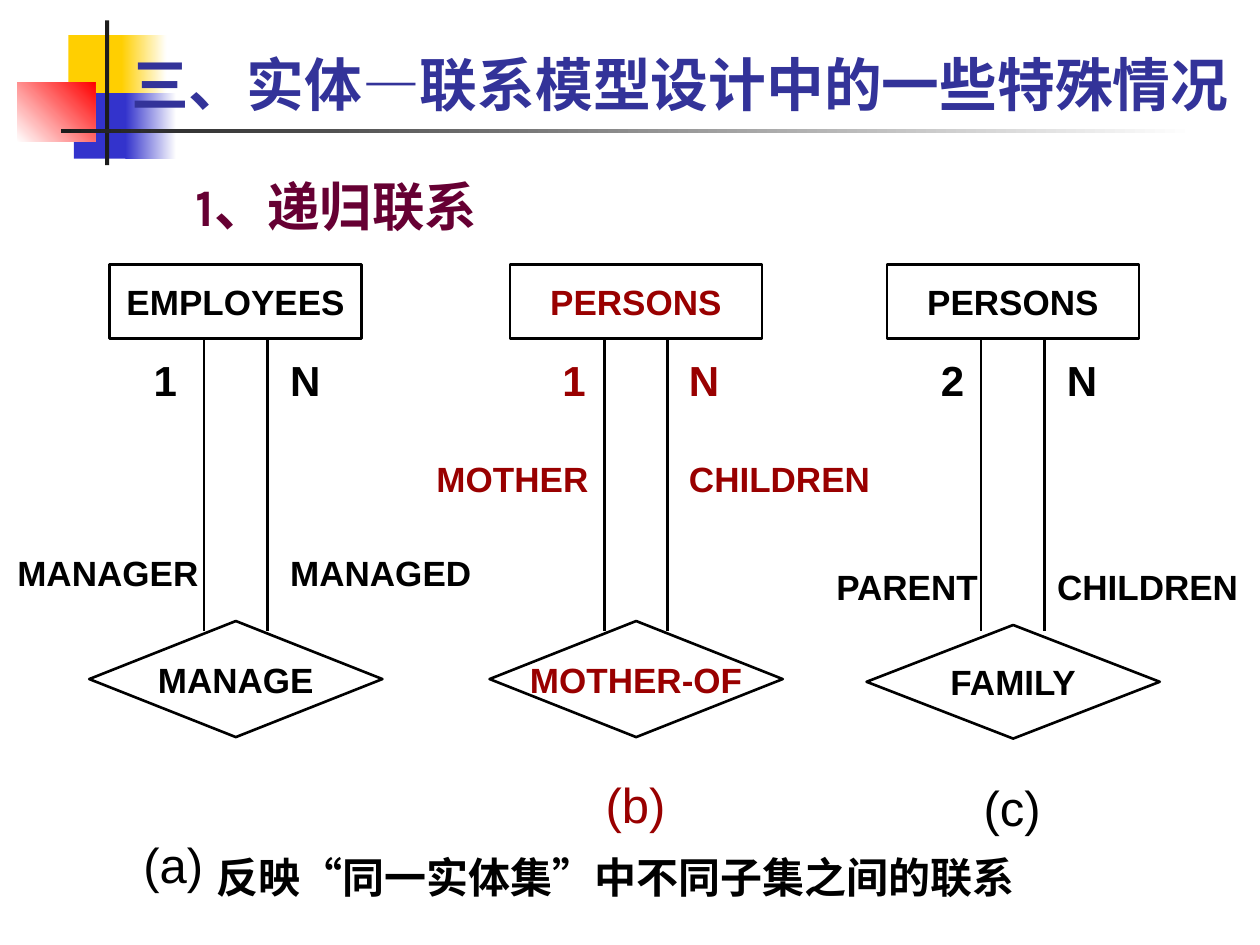
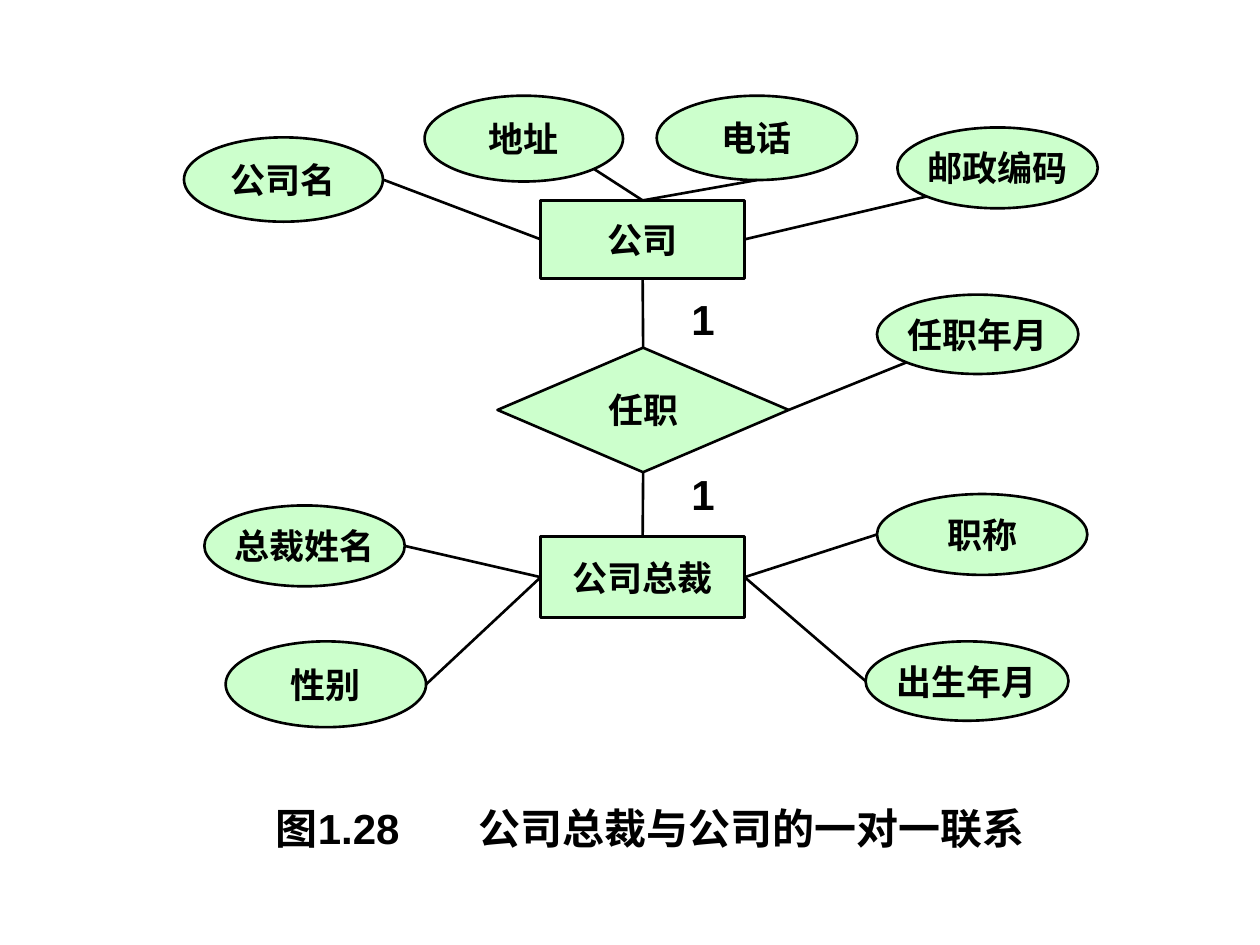
from math import cos, radians, sin
from typing import NamedTuple

from lxml import etree
from pptx import Presentation
from pptx.dml.color import RGBColor
from pptx.enum.lang import MSO_LANGUAGE_ID
from pptx.enum.shapes import MSO_CONNECTOR, MSO_SHAPE
from pptx.enum.text import MSO_ANCHOR, MSO_AUTO_SIZE, PP_ALIGN
from pptx.oxml.ns import qn
from pptx.util import Cm, Pt

RECTANGLE, OVAL = MSO_SHAPE.RECTANGLE, MSO_SHAPE.OVAL
DIAMOND = MSO_SHAPE.FLOWCHART_DECISION
STRAIGHT = MSO_CONNECTOR.STRAIGHT
LEFT, CENTER = PP_ALIGN.LEFT, PP_ALIGN.CENTER
MIDDLE, BOTTOM = MSO_ANCHOR.MIDDLE, MSO_ANCHOR.BOTTOM
NO_AUTOFIT = MSO_AUTO_SIZE.NONE
CHINESE = MSO_LANGUAGE_ID.SIMPLIFIED_CHINESE
TOP_SIDE, LEFT_SIDE, BOTTOM_SIDE, RIGHT_SIDE = range(4)
TITLE_ONLY, BLANK = 5, 6

COLORS = {
    "text": "000000",
    "title": "333399",
    "heading": "660033",
    "accent": "990000",
    "node": "CCFFCC",
    "white": "FFFFFF",
    "yellow": "FFCF01",
    "blue": "3333CC",
    "red": "FF0000",
    "rule": "1C1C1C",
}
BODY_FONT, TITLE_FONT = "Arial", "Karla"


class Panel(NamedTuple):
    """One recursive relationship; label offsets are (x, y, width) in cm."""
    left: float
    entity: str
    relation: str
    color: str
    diamond: tuple
    labels: tuple
    caption: tuple


PANELS = (
    Panel(2.21, "EMPLOYEES", "MANAGE", "text", (7.19, 2.34),
          (("1", -1.09 + 1.73, 1.27), ("N", 3.39, 1.47),
           ("MANAGER", -2.11, 5.67, 4.45), ("MANAGED", 3.39, 5.67, 4.24)),
          ("(a)", 0.43, 11.36)),
    Panel(10.28, "PERSONS", "MOTHER-OF", "accent", (7.19, 2.34),
          (("1", 0.81, 1.9), ("N", 3.36, 1.47),
           ("MOTHER", -1.73, 3.76, 4.01), ("CHILDREN", 3.36, 3.76, 4.45)),
          ("(b)", 1.68, 10.16)),
    Panel(17.88, "PERSONS", "FAMILY", "text", (7.27, 2.29),
          (("2", 0.84, 1.47), ("N", 3.38, 1.7),
           ("PARENT", -1.27, 5.95, 3.61), ("CHILDREN", 3.18, 5.95, 4.24)),
          ("(c)", 1.7, 10.21)),
)

NODES = {
    "公司": (RECTANGLE, 7.19, 2.11, 4.11, 1.57),
    "任职": (DIAMOND, 6.32, 5.08, 5.87, 2.51),
    "公司总裁": (RECTANGLE, 7.19, 8.89, 4.11, 1.63),
    "公司名": (OVAL, 0, 0.84, 4.01, 1.7),
    "地址": (OVAL, 4.85, 0, 4, 1.73),
    "电话": (OVAL, 9.53, 0, 4.04, 1.7),
    "邮政编码": (OVAL, 14.38, 0.64, 4.04, 1.63),
    "任职年月": (OVAL, 13.97, 4.01, 4.06, 1.6),
    "总裁姓名": (OVAL, 0.41, 8.26, 4.04, 1.63),
    "性别": (OVAL, 0.84, 11, 4.04, 1.73),
    "职称": (OVAL, 13.97, 8.03, 4.24, 1.63),
    "出生年月": (OVAL, 13.74, 11, 4.09, 1.6),
}
ATTRIBUTE_LINKS = (
    ("公司名", 0, "公司", LEFT_SIDE),
    ("地址", 45, "公司", TOP_SIDE),
    ("电话", 90, "公司", TOP_SIDE),
    ("邮政编码", 135, "公司", RIGHT_SIDE),
    ("任职年月", 135, "任职", RIGHT_SIDE),
    ("总裁姓名", 0, "公司总裁", LEFT_SIDE),
    ("性别", 0, "公司总裁", LEFT_SIDE),
    ("职称", 180, "公司总裁", RIGHT_SIDE),
    ("出生年月", 180, "公司总裁", RIGHT_SIDE),
)


def rgb(name):
    """Return the named colour."""
    return RGBColor.from_string(COLORS[name])


def style_run(run, size, color, font=BODY_FONT, bold=True):
    """Format one run."""
    run.font.size, run.font.name, run.font.bold = Pt(size), font, bold
    run.font.color.rgb = rgb(color)
    run.font.language_id = CHINESE


def add_label(slide, text, left, top, width, height, size=24, color="text",
              font=BODY_FONT, bold=True):
    """Add a one-paragraph text box and return its paragraph."""
    label = slide.shapes.add_textbox(Cm(left), Cm(top), Cm(width), Cm(height))
    label.text_frame.word_wrap = True
    paragraph = label.text_frame.paragraphs[0]
    paragraph.text = text
    style_run(paragraph.runs[0], size, color, font, bold)
    return paragraph


def add_node(slide, kind, text, left, top, width, height, color="text",
             fill=None):
    """Add an outlined diagram node with centred text."""
    node = slide.shapes.add_shape(kind, Cm(left), Cm(top), Cm(width), Cm(height))
    node.shadow.inherit = False
    if fill:
        node.fill.solid()
        node.fill.fore_color.rgb = rgb(fill)
    else:
        node.fill.background()
    node.line.color.rgb, node.line.width = rgb("text"), Pt(1.5)
    frame = node.text_frame
    frame.text = text
    frame.word_wrap, frame.vertical_anchor = False, MIDDLE
    frame.paragraphs[0].alignment = CENTER
    style_run(frame.paragraphs[0].runs[0], 20, color)
    return node


def add_link(slide, x1=0, y1=0, x2=0, y2=0):
    """Add a plain black straight connector."""
    link = slide.shapes.add_connector(STRAIGHT, x1, y1, x2, y2)
    link.line.color.rgb, link.line.width = rgb("text"), Pt(1.5)
    properties = link.element.find(qn("p:spPr"))
    etree.SubElement(properties, qn("a:effectLst"))
    return link


def add_block(slide, left, top, width, height, start, end=None, angle=0):
    """Add a borderless block, plain or fading from start to end."""
    block = slide.shapes.add_shape(
        RECTANGLE, Cm(left), Cm(top), Cm(width), Cm(height))
    block.shadow.inherit = False
    block.line.fill.background()
    if end is None:
        block.fill.solid()
        block.fill.fore_color.rgb = rgb(start)
        return
    block.fill.gradient()
    block.fill.gradient_angle = angle
    for stop, name, position in zip(block.fill.gradient_stops, (start, end), (0, 1)):
        stop.color.rgb, stop.position = rgb(name), position


def add_title_band(slide, left, top):
    """Draw the coloured squares and crossing rules behind the title."""
    add_block(slide, left + 1.03, top + 0.3, 1.22, 1.32, "yellow")
    add_block(slide, left + 2.1, top + 0.3, 0.91, 1.32, "yellow", "white")
    add_block(slide, left + 1.14, top + 1.47, 1.17, 1.32, "blue")
    add_block(slide, left + 2.18, top + 1.47, 1.02, 1.32, "blue", "white")
    add_block(slide, left, top + 1.25, 1.57, 1.2, "white", "red", 45)
    add_block(slide, left + 1.77, top, 0.08, 2.92, "rule")
    add_block(slide, left + 0.88, top + 2.19, 22.86, 0.09, "rule", "white")


def fill_title(slide, pieces, left, top, width, height):
    """Place the title in front and fill it with (text, font) pieces."""
    title = slide.shapes.title
    title.element.getparent().append(title.element)
    title.left, title.top = Cm(left), Cm(top)
    title.width, title.height = Cm(width), Cm(height)
    frame = title.text_frame
    frame.auto_size, frame.vertical_anchor = NO_AUTOFIT, BOTTOM
    frame.word_wrap = True
    paragraph = frame.paragraphs[0]
    paragraph.alignment = LEFT
    for text, font in pieces:
        run = paragraph.add_run()
        run.text = text
        style_run(run, 33, "title", font)


def add_recursive_panel(slide, panel, top):
    """Draw an entity joined twice to its relationship."""
    left, color = panel.left, panel.color
    add_node(slide, RECTANGLE, panel.entity, left, top, 5.08, 1.49, color)
    diamond_top, diamond_height = panel.diamond
    add_node(slide, DIAMOND, panel.relation, left - 0.41, top + diamond_top,
             5.91, diamond_height, color)
    for offset in (1.9, 3.18):
        add_link(slide, Cm(left + offset), Cm(top + 1.49),
                 Cm(left + offset), Cm(top + 7.4))
    for text, offset, width in panel.labels[:2]:
        add_label(slide, text, left + offset, top + 1.7, width, 1.27, 24, color)
    for text, offset, drop, width in panel.labels[2:]:
        add_label(slide, text, left + offset, top + drop, width, 1.12, 20, color)
    text, offset, drop = panel.caption
    add_label(slide, text, left + offset, top + drop, 2.54, 1.45, 28, color,
              bold=False)


def add_company_diagram(slide, left, top):
    """Draw the company and president diagram."""
    nodes = {
        name: add_node(slide, kind, name, left + x, top + y, width, height,
                       fill="node")
        for name, (kind, x, y, width, height) in NODES.items()
    }
    for attribute, angle, owner, side in ATTRIBUTE_LINKS:
        oval = nodes[attribute]
        x = oval.left + oval.width * (1 + cos(radians(angle))) / 2
        y = oval.top + oval.height * (1 + sin(radians(angle))) / 2
        link = add_link(slide, int(x), int(y))
        link.end_connect(nodes[owner], side)
    for upper, lower in (("公司", "任职"), ("任职", "公司总裁")):
        link = add_link(slide)
        link.begin_connect(nodes[upper], BOTTOM_SIDE)
        link.end_connect(nodes[lower], TOP_SIDE)
    for drop in (3.86, 7.39):
        add_label(slide, "1", left + 9.98, top + drop, 1.47, 1.27)


def add_figure_caption(slide, left, top):
    """Write the figure number and, after a tab, its name."""
    caption = add_label(slide, "图1.28\t公司总裁与公司的一对一联系",
                        left, top, 15.88, 1.27)
    caption.alignment = LEFT
    properties = caption._p.get_or_add_pPr()
    stops = etree.SubElement(properties, qn("a:tabLst"))
    etree.SubElement(stops, qn("a:tab"), pos=str(Cm(4.08)), algn="l")


def build_recursive_slide(presentation):
    """Build the slide on recursive relationships."""
    slide = presentation.slides.add_slide(presentation.slide_layouts[TITLE_ONLY])
    add_title_band(slide, 0.35, 0.41)
    fill_title(slide, (("三、实体", TITLE_FONT), ("—", BODY_FONT),
                       ("联系模型设计中的一些特殊情况", TITLE_FONT)),
               2.39, 0.2, 22.91, 2.31)
    heading = add_label(slide, "1、递归联系", 3.7, 3.12, 20, 1.8, 30,
                        "heading", TITLE_FONT)
    heading.line_spacing = 1.2
    for panel in PANELS:
        add_recursive_panel(slide, panel, 5.33)
    add_label(slide, "反映“同一实体集”中不同子集之间的联系",
              4.11, 17.04, 16.84, 1.27)


def build_company_slide(presentation):
    """Build the slide with the one-to-one example."""
    slide = presentation.slides.add_slide(presentation.slide_layouts[BLANK])
    add_company_diagram(slide, 3.71, 1.93)
    add_figure_caption(slide, 5.31, 16.05)


def main():
    """Build and save the presentation."""
    presentation = Presentation()
    presentation.slide_width, presentation.slide_height = Cm(25.4), Cm(19.05)
    build_recursive_slide(presentation)
    build_company_slide(presentation)
    presentation.save("out.pptx")


if __name__ == "__main__":
    main()
